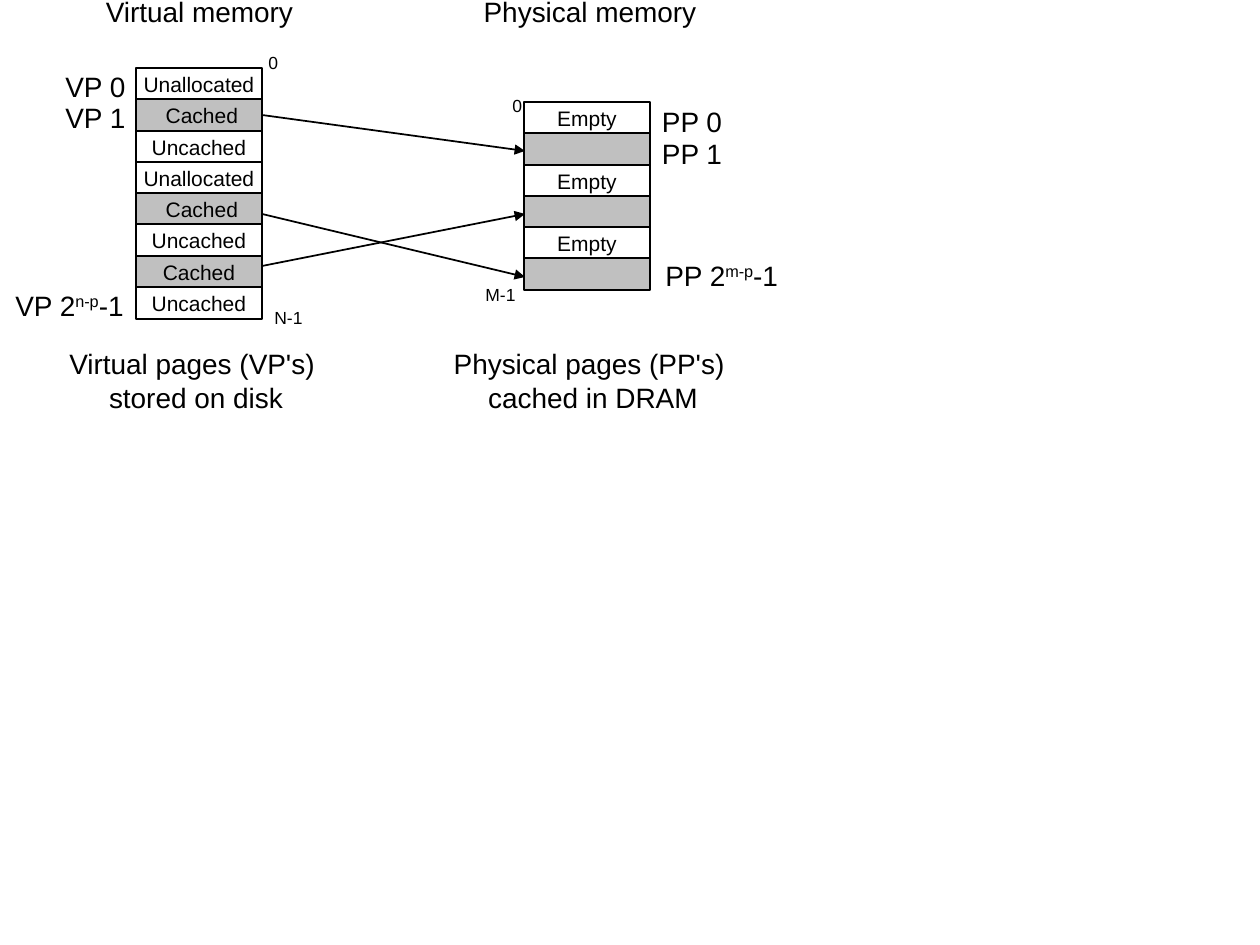
from lxml import etree
from pptx import Presentation, util as u
from pptx.dml.color import RGBColor
from pptx.enum import shapes, text
from pptx.oxml.ns import qn

PX = u.Inches(1) / 126
BLACK, WHITE, GREY = "000000", "FFFFFF", "C0C0C0"
PAGE_WIDTH, PAGE_HEIGHT, PAGE_PITCH = 126, 32, 31.3
VIRTUAL_LEFT, VIRTUAL_TOP = 136, 68
PHYSICAL_LEFT, PHYSICAL_TOP = 524, 102

VIRTUAL_PAGES = [
    ("Unallocated", WHITE), (" Cached", GREY), ("Uncached", WHITE),
    ("Unallocated", WHITE), (" Cached", GREY), ("Uncached", WHITE),
    ("Cached", GREY), ("Uncached", WHITE),
]
PHYSICAL_PAGES = [("Empty", WHITE), ("", GREY)] * 3

HEADINGS = [
    ("Virtual memory", 93, -8, 213, 43),
    ("Physical memory", 471, -8, 238, 43),
]
VIRTUAL_LABELS = [
    (["VP 0"], 53, 67, 86, 43),
    (["VP 1"], 53, 98, 86, 43),
    (["VP 2", "n-p", "-1"], 3, 286, 133, 43),
]
LAST_PHYSICAL_LABEL = (["PP 2", "m-p", "-1"], 653, 256, 139, 43)
PHYSICAL_LABELS = [
    ("PP 0", 649, 98, 86, 47),
    ("PP 1", 649, 130, 86, 47),
]
ADDRESSES = [
    ("0", 256, 45, 34, 34),
    ("N-1", 262, 300, 53, 34),
    ("0", 500, 88, 34, 34),
    ("M-1", 473, 277, 55, 34),
]
CAPTIONS = [
    ("Virtual pages (VP's) \nstored on disk", 57, 340, 278, 81),
    ("Physical pages (PP's) \ncached in DRAM", 441, 340, 304, 81),
]
MAPPINGS = [(115, 151), (214, 277), (266, 214)]


def px(*lengths):
    return [u.Emu(round(length * PX)) for length in lengths]


def color(value):
    return RGBColor.from_string(value)


def style_font(font, size):
    font.name = "Arial"
    font.size = u.Pt(size)
    font.color.rgb = color(BLACK)


def write(shape, content, size, align=text.PP_ALIGN.CENTER,
          anchor=text.MSO_ANCHOR.MIDDLE, spacing=None):
    frame = shape.text_frame
    frame.word_wrap = False
    frame.vertical_anchor = anchor
    frame.text = content
    for para in frame.paragraphs:
        para.alignment = align
        para.line_spacing = spacing
        for span in para.runs:
            style_font(span.font, size)


def add_label(slide, content, left, top, width, height, size=16, **layout):
    box = slide.shapes.add_textbox(*px(left, top, width, height))
    write(box, content, size, **layout)
    return box


def add_page_label(slide, parts, left, top, width, height):
    box = add_label(slide, parts[0], left, top, width, height,
                    align=text.PP_ALIGN.LEFT, anchor=text.MSO_ANCHOR.TOP,
                    spacing=0.9)
    para = box.text_frame.paragraphs[0]
    for index, part in enumerate(parts[1:]):
        span = para.add_run()
        span.text = part
        style_font(span.font, 16)
        if index == 0:
            span.font._element.set("baseline", "30000")


def add_memory(slide, pages, left, top):
    for index, (state, fill) in enumerate(pages):
        box = slide.shapes.add_shape(
            shapes.MSO_SHAPE.RECTANGLE,
            *px(left, round(top + index * PAGE_PITCH), PAGE_WIDTH, PAGE_HEIGHT))
        box.shadow.inherit = False
        box.fill.solid()
        box.fill.fore_color.rgb = color(fill)
        box.line.color.rgb = color(BLACK)
        box.line.width = u.Pt(1.5)
        if state:
            write(box, state, 12)


def add_arrow(slide, start, end):
    arrow = slide.shapes.add_connector(
        shapes.MSO_CONNECTOR.STRAIGHT,
        *px(VIRTUAL_LEFT + PAGE_WIDTH, start, PHYSICAL_LEFT + 1, end))
    arrow.line.color.rgb = color(BLACK)
    arrow.line.width = u.Pt(1)
    etree.SubElement(arrow.line._get_or_add_ln(), qn("a:tailEnd"), type="triangle")
    etree.SubElement(arrow._element.spPr, qn("a:effectLst"))


def main():
    deck = Presentation()
    deck.slide_width, deck.slide_height = px(1260, 945)
    slide = deck.slides.add_slide(deck.slide_layouts[6])

    add_memory(slide, VIRTUAL_PAGES, VIRTUAL_LEFT, VIRTUAL_TOP)
    add_memory(slide, PHYSICAL_PAGES, PHYSICAL_LEFT, PHYSICAL_TOP)
    for mapping in MAPPINGS:
        add_arrow(slide, *mapping)
    for heading in HEADINGS:
        add_label(slide, *heading, anchor=text.MSO_ANCHOR.TOP, spacing=0.9)
    for label in VIRTUAL_LABELS + [LAST_PHYSICAL_LABEL]:
        add_page_label(slide, *label)
    for label in PHYSICAL_LABELS + CAPTIONS:
        add_label(slide, *label)
    for address in ADDRESSES:
        add_label(slide, *address, size=10)

    deck.save("out.pptx")


if __name__ == "__main__":
    main()
